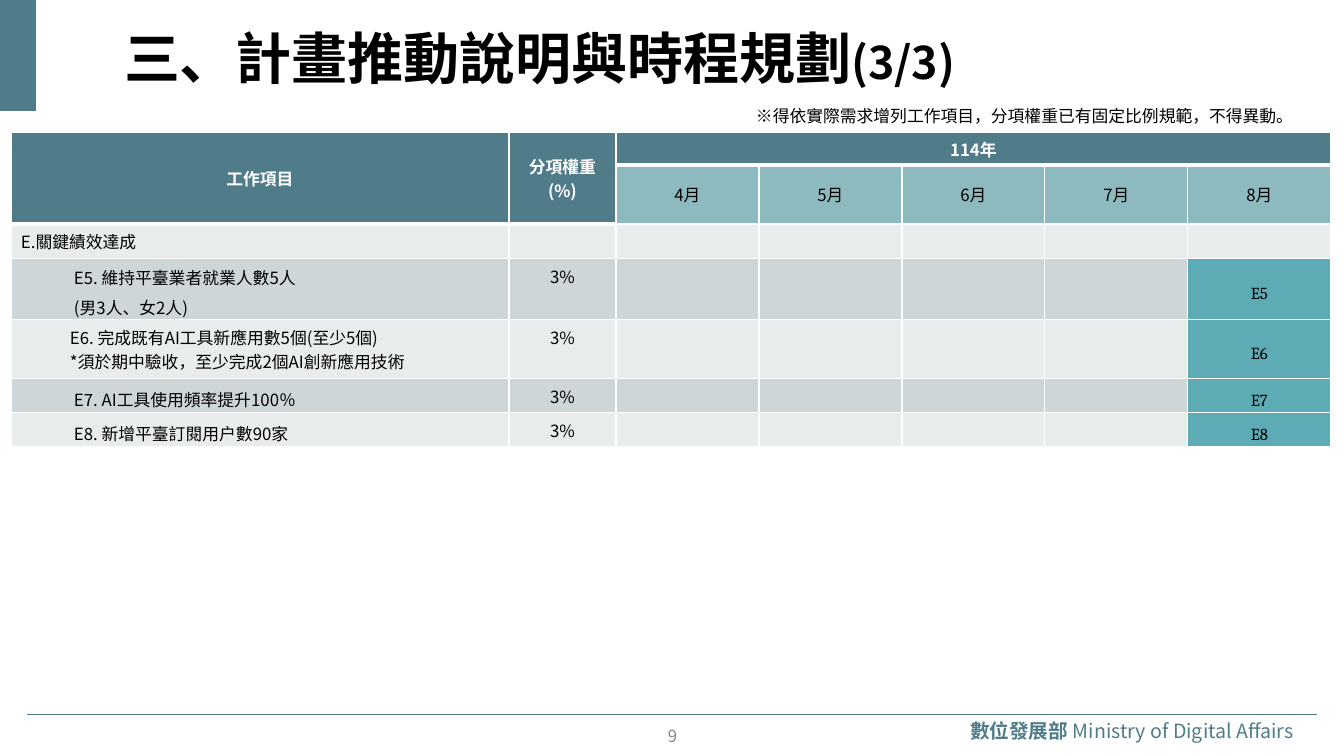
from lxml.etree import SubElement
from pptx import Presentation
from pptx.dml.color import RGBColor
from pptx.enum.shapes import MSO_CONNECTOR as CONN, MSO_SHAPE as SHAPE
from pptx.enum.text import MSO_ANCHOR as ANCHOR, PP_ALIGN as ALIGN
from pptx.oxml.ns import qn
from pptx.util import Pt

FONT = "Noto Sans CJK TC"
TEAL, MONTH, DONE = "507C89", "8CBABE", "5DACB5"
BANDS = ["E8ECED", "CFD6D9"]
BLACK, WHITE, GREY = "000000", "FFFFFF", "888888"

TITLE = [("三、計畫推動說明與時程規劃", {}), ("(3/3)", {"size": 32})]
NOTE = "※得依實際需求增列工作項目，分項權重已有固定比例規範，不得異動。"
MINISTRY = [("數位發展部 ", {"bold": True}), ("Ministry of Digital Affairs", {})]
PAGE = "9"

HEADS = [["工作項目"], ["分項權重", "(%)"], ["114年"]]
MONTHS = ["4月", "5月", "6月", "7月", "8月"]
TASK = {"anchor": ANCHOR.MIDDLE, "inset": (4, 0), "align": ALIGN.JUSTIFY,
        "indent": (4, 55), "spacing": 1.25}
TASKS = [
    (["E.關鍵績效達成"], "", "", {}),
    (["E5. 維持平臺業者就業人數5人", "(男3人、女2人)"], "3%", "E5", TASK),
    (["E6. 完成既有AI工具新應用數5個(至少5個)",
      "*須於期中驗收，至少完成2個AI創新應用技術"], "3%", "E6", {"indent": (0, 49)}),
    (["E7. AI工具使用頻率提升100％"], "3%", "E7", TASK),
    (["E8. 新增平臺訂閱用戶數90家"], "3%", "E8", TASK),
]
COLS = [498, 107] + [143] * len(MONTHS)
ROWS = [33, 59, 35, 61, 59, 34, 34]


def px(n):
    return round(n * 914400 / 100.8)


def rgb(code):
    return RGBColor.from_string(code)


def add_run(p, text, size=12, color=BLACK, bold=False, font=FONT):
    r = p.add_run()
    r.text = text
    r.font.size, r.font.bold, r.font.name = Pt(size), bold, font
    r.font.color.rgb = rgb(color)
    SubElement(r._r.get_or_add_rPr(), qn("a:ea")).set("typeface", font)


def write(tf, lines, align=ALIGN.LEFT, indent=(0, 0), spacing=None, **fmt):
    for i, line in enumerate(lines):
        p = tf.paragraphs[0] if i == 0 else tf.add_paragraph()
        p.alignment = align
        if spacing:
            p.line_spacing = spacing
        pPr = p._p.get_or_add_pPr()
        pPr.set("marL", str(px(indent[0])))
        pPr.set("indent", str(px(indent[1])))
        for text, extra in [(line, {})] if isinstance(line, str) else line:
            if text:
                add_run(p, text, **{**fmt, **extra})
            else:
                SubElement(p._p, qn("a:endParaRPr")).set("sz", "1200")


def set_frame(tf, anchor, inset):
    tf.word_wrap = True
    tf.vertical_anchor = anchor
    tf.margin_left = tf.margin_right = px(inset[0])
    tf.margin_top = tf.margin_bottom = px(inset[1])


def add_label(s, box, line, anchor=ANCHOR.MIDDLE, inset=(8, 4), **fmt):
    tf = s.shapes.add_textbox(*map(px, box)).text_frame
    set_frame(tf, anchor, inset)
    write(tf, [line], **fmt)


def fill_cell(cell, lines, fill, bottom=1, anchor=ANCHOR.TOP, inset=(10, 5), **fmt):
    cell.vertical_anchor = anchor
    cell.margin_left = cell.margin_right = px(inset[0])
    cell.margin_top = cell.margin_bottom = px(inset[1])
    tcPr = cell._tc.get_or_add_tcPr()
    for side, width in [("L", 1), ("R", 1), ("T", 1), ("B", bottom)]:
        ln = SubElement(tcPr, qn(f"a:ln{side}"), w=str(Pt(width)))
        SubElement(SubElement(ln, qn("a:solidFill")), qn("a:srgbClr"), val=WHITE)
    cell.fill.solid()
    cell.fill.fore_color.rgb = rgb(fill)
    write(cell.text_frame, lines, **fmt)


def add_schedule(s):
    frame = s.shapes.add_table(len(ROWS), len(COLS), px(11), px(132),
                               px(sum(COLS)), px(sum(ROWS)))
    table = frame.table
    table.first_row = table.horz_banding = False
    for col, width in zip(table.columns, COLS):
        col.width = px(width)
    for row, height in zip(table.rows, ROWS):
        row.height = px(height)

    centre = {"align": ALIGN.CENTER, "anchor": ANCHOR.MIDDLE}
    for c in range(len(COLS)):
        lines = HEADS[c] if c < len(HEADS) else [""]
        fill_cell(table.cell(0, c), lines, TEAL, 3, color=WHITE, bold=True, **centre)
        if c < 2:
            fill_cell(table.cell(1, c), [""], TEAL, 3)
            table.cell(0, c).merge(table.cell(1, c))
        else:
            fill_cell(table.cell(1, c), [MONTHS[c - 2]], MONTH, **centre)
    table.cell(0, 2).merge(table.cell(0, len(COLS) - 1))

    last = len(COLS) - 1
    for i, (lines, weight, code, fmt) in enumerate(TASKS):
        band, r = BANDS[i % 2], i + 2
        fill_cell(table.cell(r, 0), lines, band, **fmt)
        fill_cell(table.cell(r, 1), [weight], band, align=ALIGN.CENTER)
        for c in range(2, last):
            fill_cell(table.cell(r, c), [""], band)
        if code:
            fill_cell(table.cell(r, last), [code], DONE, inset=(4, 0), font="Cambria",
                      indent=(4, -46), spacing=1.5, **centre)
        else:
            fill_cell(table.cell(r, last), [""], band)


def main():
    """Build the schedule slide and save it."""
    prs = Presentation()
    prs.slide_width, prs.slide_height = px(1344), px(756)
    s = prs.slides.add_slide(prs.slide_layouts[5])

    rule = s.shapes.add_connector(CONN.STRAIGHT, px(27), px(715), px(1317), px(715))
    rule.line.color.rgb = rgb(TEAL)
    rule.line.width = Pt(0.75)
    SubElement(rule._element.spPr, qn("a:effectLst"))
    add_label(s, (962, 715, 355, 32), MINISTRY, align=ALIGN.JUSTIFY, size=14, color=TEAL)

    sp = s.shapes.add_shape(SHAPE.RECTANGLE, 0, 0, px(36), px(111))
    sp.shadow.inherit = False
    sp.fill.solid()
    sp.fill.fore_color.rgb = rgb(TEAL)
    sp.line.fill.background()

    title = s.shapes.title
    title.left, title.top, title.width, title.height = map(px, (116, 8, 1190, 99))
    set_frame(title.text_frame, ANCHOR.MIDDLE, (8, 4))
    write(title.text_frame, [TITLE], size=40, bold=True)

    add_label(s, (573, 726, 199, 20), PAGE, inset=(8, 0), align=ALIGN.CENTER, color=GREY)
    add_schedule(s)
    add_label(s, (746, 101, 588, 30), NOTE, anchor=ANCHOR.TOP, inset=(10, 5))
    prs.save("out.pptx")


if __name__ == "__main__":
    main()
